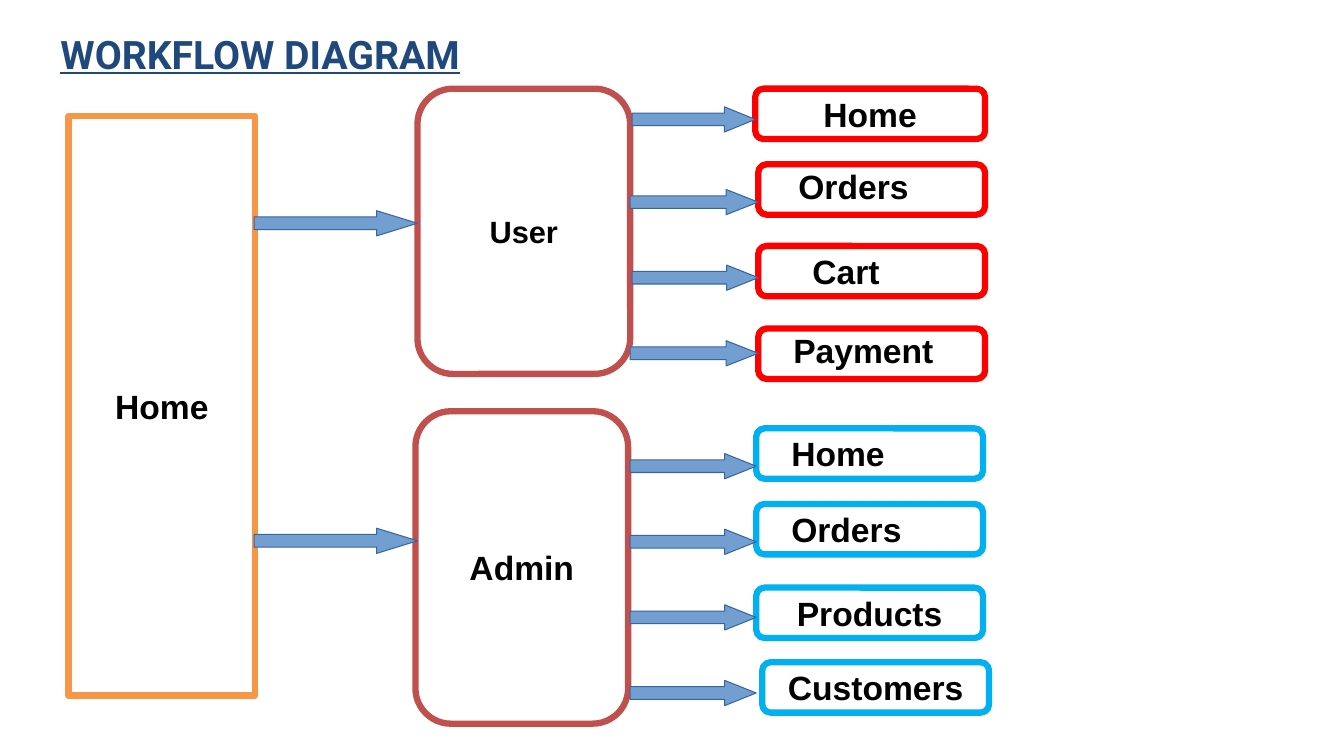
from dataclasses import dataclass
from typing import NamedTuple

from pptx import Presentation
from pptx.dml.color import RGBColor
from pptx.enum.shapes import MSO_SHAPE
from pptx.enum.text import MSO_ANCHOR, PP_ALIGN
from pptx.shapes.autoshape import Shape
from pptx.slide import Slide
from pptx.text.text import TextFrame
from pptx.util import Inches, Pt

ROUNDED = MSO_SHAPE.ROUNDED_RECTANGLE
RECTANGLE = MSO_SHAPE.RECTANGLE
RIGHT_ARROW = MSO_SHAPE.RIGHT_ARROW
TOP, MIDDLE = MSO_ANCHOR.TOP, MSO_ANCHOR.MIDDLE
LEFT, CENTER = PP_ALIGN.LEFT, PP_ALIGN.CENTER
TITLE_ONLY = 5
GRID = 0.25  # inches per column and per row


@dataclass(frozen=True)
class Theme:
    title: str = "1F497D"
    text: str = "000000"
    paper: str = "FFFFFF"
    entry: str = "F79646"
    role: str = "C0504D"
    user_page: str = "FF0000"
    admin_page: str = "00B0F0"
    arrow: str = "729FCF"
    arrow_edge: str = "3465A4"
    body_font: str = "Arial"
    title_font: str = "Roboto"
    title_size: float = 28
    body_size: float = 24
    user_size: float = 22
    border: float = 4.5


THEME = Theme()


class Area(NamedTuple):
    """A place on the grid, in columns and rows."""
    column: float
    row: float
    columns: float
    rows: float


class Box(NamedTuple):
    area: Area
    color: str
    text: str = ""
    size: float = THEME.body_size
    shape_type: MSO_SHAPE = ROUNDED


class Label(NamedTuple):
    text: str
    column: float
    row: float
    columns: float = 6


class Arrow(NamedTuple):
    column: float
    row: float
    columns: float


def page(color: str, column: float, row: float, text: str = "", columns: float = 9) -> Box:
    return Box(Area(column, row, columns, 2), color, text)


BOXES = [
    Box(Area(2.72, 4.6, 7.4, 23), THEME.entry, "Home", shape_type=RECTANGLE),
    Box(Area(16.48, 16.32, 8.44, 12.4), THEME.role, "Admin"),
    Box(Area(16.56, 3.52, 8.44, 11.32), THEME.role, "User", THEME.user_size),
    page(THEME.user_page, 29.96, 3.52, "Home", 9.12),
    *(page(THEME.user_page, 30.08, row) for row in (6.52, 9.76, 13.04)),
    *(page(THEME.admin_page, 30, row) for row in (17, 20)),
    page(THEME.admin_page, 30, 23.32, "Products"),
    page(THEME.admin_page, 30.24, 26.28, "Customers"),
]
LABELS = [
    Label("Orders", 31.28, 6.4),
    Label("Cart", 31.84, 9.76),
    Label("Payment", 31.08, 12.88, 8),
    Label("Home", 31, 17),
    Label("Orders", 31, 20),
]
ARROWS = [
    *(Arrow(10.08, row, 6.48) for row in (8.36, 20.96)),
    Arrow(25.08, 4.24, 4.88),
    Arrow(25, 7.52, 5.08),
    Arrow(25.08, 10.52, 5),
    Arrow(25, 13.52, 5.08),
    *(Arrow(25, 18 + 3 * step, 5) for step in range(4)),
]


def place(area: Area) -> list[int]:
    """Turn a grid area into left, top, width and height."""
    return [Inches(GRID * cells) for cells in area]


def write(frame: TextFrame, text: str, *, size: float = THEME.body_size,
          font: str = THEME.body_font, color: str = THEME.text,
          align: PP_ALIGN = LEFT, anchor: MSO_ANCHOR = TOP,
          underline: bool = False) -> None:
    frame.word_wrap = True
    frame.vertical_anchor = anchor
    paragraph = frame.paragraphs[0]
    paragraph.alignment = align
    run = paragraph.add_run()
    run.text = text
    run.font.name = font
    run.font.size = Pt(size)
    run.font.bold = True
    run.font.underline = underline
    run.font.color.rgb = RGBColor.from_string(color)


def add_filled_shape(slide: Slide, shape_type: MSO_SHAPE, area: Area,
                     fill: str, line: str, width: float) -> Shape:
    shape = slide.shapes.add_shape(shape_type, *place(area))
    shape.shadow.inherit = False
    shape.fill.solid()
    shape.fill.fore_color.rgb = RGBColor.from_string(fill)
    shape.line.color.rgb = RGBColor.from_string(line)
    shape.line.width = Pt(width)
    return shape


def add_title(slide: Slide, text: str) -> None:
    title = slide.shapes.title
    title.left, title.top, title.width, title.height = place(Area(2, 1, 23.8, 2.24))
    write(title.text_frame, text, size=THEME.title_size, font=THEME.title_font,
          color=THEME.title, underline=True)


def add_box(slide: Slide, box: Box) -> None:
    shape = add_filled_shape(slide, box.shape_type, box.area,
                             THEME.paper, box.color, THEME.border)
    if box.text:
        write(shape.text_frame, box.text, size=box.size, align=CENTER, anchor=MIDDLE)


def add_label(slide: Slide, label: Label) -> None:
    area = Area(label.column, label.row, label.columns, 2.28)
    write(slide.shapes.add_textbox(*place(area)).text_frame, label.text)


def add_arrow(slide: Slide, arrow: Arrow) -> None:
    """Draw a block arrow whose head takes a quarter of its length."""
    shape = add_filled_shape(slide, RIGHT_ARROW, Area(*arrow, 1),
                             THEME.arrow, THEME.arrow_edge, 0)
    shape.adjustments[0] = 0.5
    shape.adjustments[1] = arrow.columns / 4


def main() -> None:
    presentation = Presentation()
    presentation.slide_width = Inches(13.33)
    presentation.slide_height = Inches(7.5)
    slide = presentation.slides.add_slide(presentation.slide_layouts[TITLE_ONLY])
    add_title(slide, "WORKFLOW DIAGRAM")
    for box in BOXES:
        add_box(slide, box)
    for label in LABELS:
        add_label(slide, label)
    for arrow in ARROWS:
        add_arrow(slide, arrow)
    presentation.save("out.pptx")


if __name__ == "__main__":
    main()
